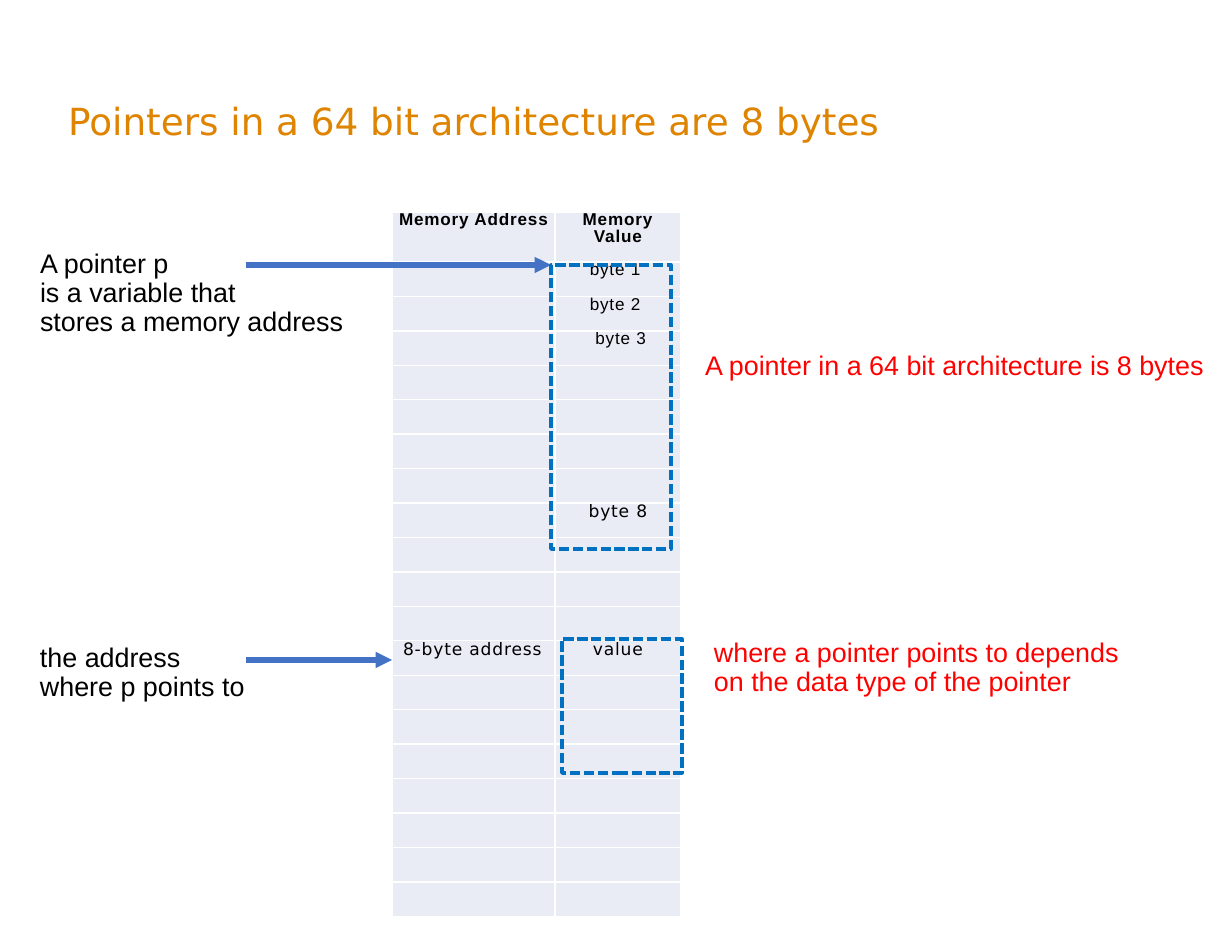
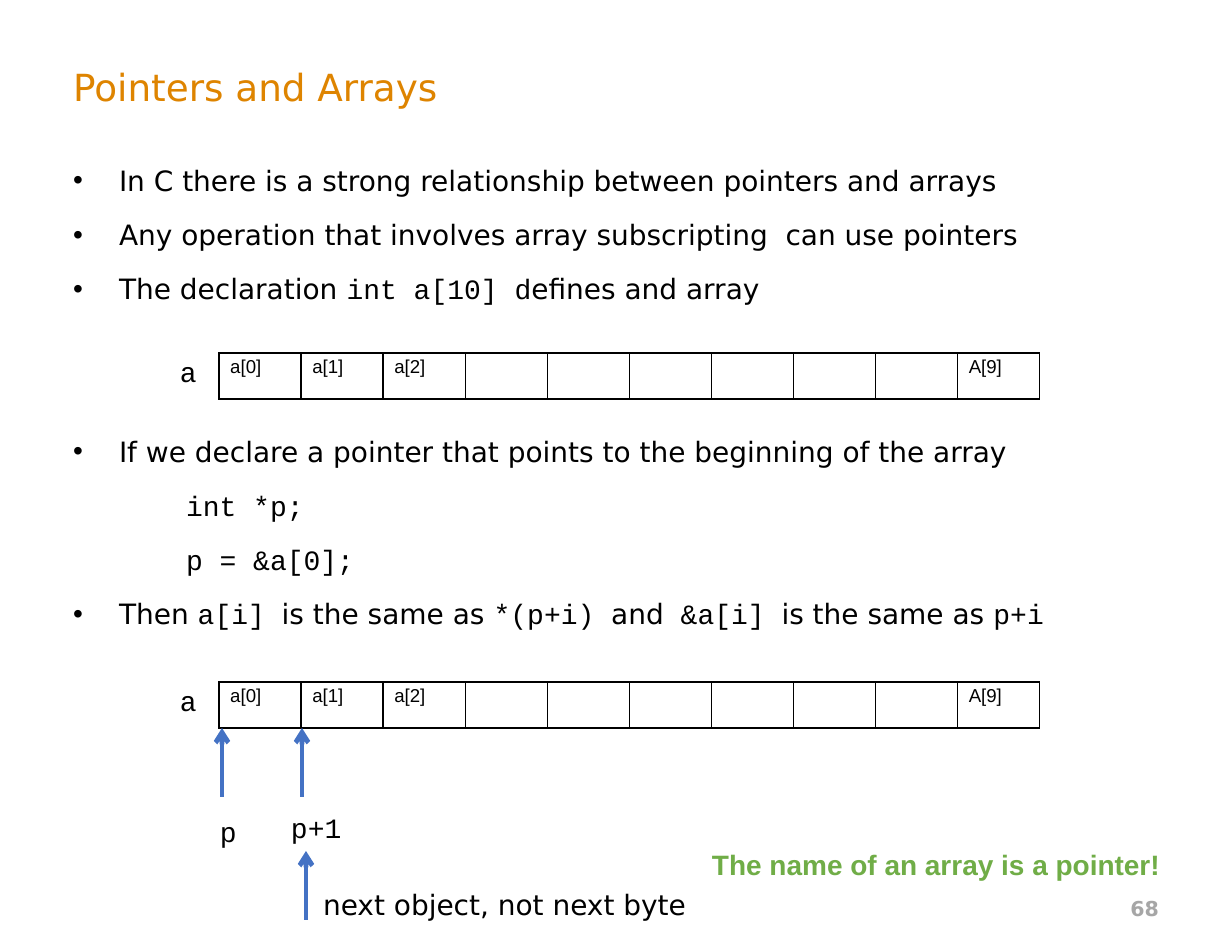
from lxml.etree import SubElement
from pptx import Presentation
from pptx.dml.color import RGBColor
from pptx.enum.dml import MSO_LINE
from pptx.enum.shapes import MSO_CONNECTOR, MSO_SHAPE
from pptx.enum.text import MSO_ANCHOR, MSO_AUTO_SIZE, PP_ALIGN
from pptx.oxml import parse_xml
from pptx.oxml.ns import nsdecls, qn
from pptx.util import Emu, Pt

# Shared look
ORANGE = RGBColor(0xDE, 0x84, 0x00)
BLACK = RGBColor(0, 0, 0)
WHITE = RGBColor(0xFF, 0xFF, 0xFF)
RED = RGBColor(0xFF, 0, 0)
GREEN = RGBColor(0x70, 0xAD, 0x47)
GREY = RGBColor(0xA6, 0xA6, 0xA6)
ARROW_BLUE = RGBColor(0x44, 0x72, 0xC4)
DASH_BLUE = RGBColor(0, 0x70, 0xC0)
CELL_FILL = RGBColor(0xE9, 0xEB, 0xF5)
SANS, ARIAL, MONO = "DejaVu Sans", "Arial", "Courier New"
PX_PER_INCH = 112
PLAIN_TABLE_STYLE = "{2D5ABB26-0587-4C30-8999-92F81FD0307C}"

# Memory slide: boxes are left, top, width, height in px
MEMORY_TITLE = ("Pointers in a 64 bit architecture are 8 bytes", (57, 54, 1063, 134))
MEMORY_BOX = (392, 212, 289, 705)
MEMORY_COLUMNS = (163, 126)
MEMORY_HEADER_HEIGHT = 50
MEMORY_ROWS = 20
MEMORY_CELLS = {  # (row, column): text, font, bold
    (0, 0): ("Memory Address", ARIAL, True),
    (0, 1): ("Memory Value", ARIAL, True),
    (1, 1): ("byte 1 ", ARIAL, False),
    (2, 1): ("byte 2 ", ARIAL, False),
    (3, 1): (" byte 3", ARIAL, False),
    (8, 1): ("byte 8", SANS, False),
    (12, 0): ("8-byte address ", SANS, False),
    (12, 1): ("value", SANS, False),
}
MEMORY_ARROWS = [((246, 265), (551, 265)), ((246, 660), (392, 660))]
MEMORY_NOTES = [
    (["A pointer p", "is a variable that", "stores a memory address"],
     (29, 245, 329, 129), BLACK),
    (["the address", "where p points to"], (29, 639, 230, 71), BLACK),
    (["A pointer in a 64 bit architecture is 8 bytes"], (694, 347, 529, 40), RED),
    (["where a pointer points to depends", "on the data type of the pointer"],
     (703, 634, 433, 71), RED),
]
DASHED_BOXES = [(551, 265, 120, 284), (562, 639, 120, 134)]

# Array slide
ARRAY_TITLE = ("Pointers and Arrays", (62, 38, 1109, 97))
BODY_BOX = (62, 158, 1109, 692)
BODY_GAP, ARRAY_GAP = 13.2, 83
BODY = [  # bulleted, points before, runs
    (True, BODY_GAP, [("In C there is a strong relationship between pointers and arrays", SANS)]),
    (True, BODY_GAP, [("Any operation that involves array subscripting  can use pointers", SANS)]),
    (True, BODY_GAP, [("The declaration ", SANS), ("int a[10] d", MONO),
                      ("efines and array", SANS)]),
    (True, ARRAY_GAP, [("If we declare a pointer that points to the beginning of the array",
                        SANS)]),
    (False, BODY_GAP, [("int *p;", MONO)]),
    (False, BODY_GAP, [("p = &a[0];", MONO)]),
    (True, BODY_GAP, [("Then ", SANS), ("a[i] ", MONO), ("is the same as ", SANS),
                      ("*(p+i) ", MONO), ("and", SANS), (" &a[i] ", MONO),
                      ("is the same as ", SANS), ("p+i", MONO)]),
]
BULLET_INDENT, CODE_INDENT = 46, 113
ARRAY_TOPS = (353, 682)
ARRAY_LEFT, ARRAY_WIDTH, ARRAY_HEIGHT = 219, 821, 46
ARRAY_CELLS = ["a[0]", "a[1]", "a[2]", "", "", "", "", "", "", "A[9]"]
ARRAY_ARROWS = [((222, 797), (222, 728)), ((302, 797), (302, 728)),
                ((306, 920), (306, 851))]
ARRAY_NOTES = [("p", MONO, (209, 813, 39, 43)),
               ("p+1", MONO, (280, 809, 73, 43)),
               ("next object, not next byte", SANS, (312, 886, 394, 41))]
MORAL = ("The name of an array is a pointer!", (701, 846, 501, 43))
PAGE_NUMBER = ("68", (883, 883, 287, 50))


def px(length):
    return Emu(round(length * 914400 / PX_PER_INCH))


def place(shape, box):
    shape.left, shape.top, shape.width, shape.height = map(px, box)


def add_run(para, text, font, size, color, bold=False):
    run = para.add_run()
    run.text = text
    run.font.name, run.font.size, run.font.bold = font, Pt(size), bold
    run.font.color.rgb = color
    return run


def add_slide(deck, title, box):
    page = deck.slides.add_slide(deck.slide_layouts[5])
    place(page.shapes.title, box)
    frame = page.shapes.title.text_frame
    frame.vertical_anchor = MSO_ANCHOR.MIDDLE
    frame.auto_size = MSO_AUTO_SIZE.NONE
    para = frame.paragraphs[0]
    para.alignment = PP_ALIGN.LEFT
    add_run(para, title, SANS, 24, ORANGE)
    return page


def add_frame(page, box, wrap=True):
    frame = page.shapes.add_textbox(*map(px, box)).text_frame
    frame.word_wrap = wrap
    return frame


def add_note(page, lines, box, font, size, color, bold=False, wrap=False):
    frame = add_frame(page, box, wrap)
    frame.auto_size = MSO_AUTO_SIZE.SHAPE_TO_FIT_TEXT
    for number, line in enumerate(lines):
        para = frame.add_paragraph() if number else frame.paragraphs[0]
        para.line_spacing = 0.9
        add_run(para, line, font, size, color, bold)


def add_arrow(page, start, end, width, head):
    arrow = page.shapes.add_connector(MSO_CONNECTOR.STRAIGHT, *map(px, start + end))
    arrow.line.color.rgb = ARROW_BLUE
    arrow.line.width = Pt(width)
    SubElement(arrow.line._get_or_add_ln(), qn("a:tailEnd"), type=head)
    SubElement(arrow._element.spPr, qn("a:effectLst"))


def add_plain_table(page, rows, columns, box):
    table = page.shapes.add_table(rows, columns, *map(px, box)).table
    table.first_row = table.horz_banding = False
    table._tbl.tblPr.find(qn("a:tableStyleId")).text = PLAIN_TABLE_STYLE
    return table


def style_cell(cell, border, fill=None):
    if fill is None:
        cell.fill.background()
    else:
        cell.fill.solid()
        cell.fill.fore_color.rgb = fill
    properties = cell._tc.get_or_add_tcPr()
    for position, side in enumerate("LRTB"):
        properties.insert(position, parse_xml(
            f'<a:ln{side} {nsdecls("a")} w="12700"><a:solidFill>'
            f'<a:srgbClr val="{border}"/></a:solidFill></a:ln{side}>'))
    para = cell.text_frame.paragraphs[0]
    para.line_spacing = 0.9
    return para


def add_memory_table(page):
    table = add_plain_table(page, MEMORY_ROWS, len(MEMORY_COLUMNS), MEMORY_BOX)
    row_height = (MEMORY_BOX[3] - MEMORY_HEADER_HEIGHT) / (MEMORY_ROWS - 1)
    for column, width in zip(table.columns, MEMORY_COLUMNS):
        column.width = px(width)
    for row_number, row in enumerate(table.rows):
        row.height = px(row_height if row_number else MEMORY_HEADER_HEIGHT)
        for column_number, cell in enumerate(row.cells):
            cell.margin_left = cell.margin_right = px(7)
            cell.margin_top = cell.margin_bottom = 0
            para = style_cell(cell, WHITE, CELL_FILL)
            para.alignment = PP_ALIGN.CENTER if column_number else PP_ALIGN.RIGHT
            content = MEMORY_CELLS.get((row_number, column_number))
            if content:
                text, font, bold = content
                run = add_run(para, text, font, 11, BLACK, bold)
                run.font._element.set("spc", "50")


def add_array(page, top):
    table = add_plain_table(page, 1, len(ARRAY_CELLS),
                            (ARRAY_LEFT, top, ARRAY_WIDTH, ARRAY_HEIGHT))
    for column, cell, text in zip(table.columns, table.rows[0].cells, ARRAY_CELLS):
        column.width = px(ARRAY_WIDTH / len(ARRAY_CELLS))
        para = style_cell(cell, BLACK)
        if text:
            add_run(para, text, ARIAL, 12, BLACK)
    add_note(page, ["a"], (169, top, 39, 43), MONO, 18, BLACK)


def add_body(page):
    frame = add_frame(page, BODY_BOX)
    for number, (bulleted, gap, runs) in enumerate(BODY):
        para = frame.add_paragraph() if number else frame.paragraphs[0]
        para.space_before = Pt(gap)
        properties = para._p.get_or_add_pPr()
        indent = BULLET_INDENT if bulleted else CODE_INDENT
        properties.set("marL", str(px(indent)))
        if bulleted:
            properties.set("indent", str(-px(indent)))
            SubElement(properties, qn("a:buFont"), typeface=ARIAL)
            SubElement(properties, qn("a:buChar"), char="•")
        for text, font in runs:
            add_run(para, text, font, 18, BLACK)


def build_memory_slide(deck):
    page = add_slide(deck, *MEMORY_TITLE)
    add_memory_table(page)
    for start, end in MEMORY_ARROWS:
        add_arrow(page, start, end, 3.5, "triangle")
    for lines, box, color in MEMORY_NOTES:
        add_note(page, lines, box, ARIAL, 17.3, color)
    for box in DASHED_BOXES:
        outline = page.shapes.add_shape(MSO_SHAPE.RECTANGLE, *map(px, box))
        outline.shadow.inherit = False
        outline.fill.background()
        outline.line.color.rgb = DASH_BLUE
        outline.line.width = Pt(2.25)
        outline.line.dash_style = MSO_LINE.SQUARE_DOT


def build_array_slide(deck):
    page = add_slide(deck, *ARRAY_TITLE)
    add_body(page)
    # Page number
    number, box = PAGE_NUMBER
    frame = add_frame(page, box)
    frame.vertical_anchor = MSO_ANCHOR.MIDDLE
    frame.paragraphs[0].alignment = PP_ALIGN.RIGHT
    add_run(frame.paragraphs[0], number, SANS, 13.2, GREY, True)
    # Arrays with their pointers
    for top in ARRAY_TOPS:
        add_array(page, top)
    for start, end in ARRAY_ARROWS:
        add_arrow(page, start, end, 3, "arrow")
    for text, font, box in ARRAY_NOTES:
        add_note(page, [text], box, font, 18, BLACK)
    moral, box = MORAL
    add_note(page, [moral], box, ARIAL, 18, GREEN, bold=True, wrap=True)


def main():
    deck = Presentation()
    deck.slide_width, deck.slide_height = px(1232), px(952)
    build_memory_slide(deck)
    build_array_slide(deck)
    deck.save("out.pptx")


if __name__ == "__main__":
    main()
